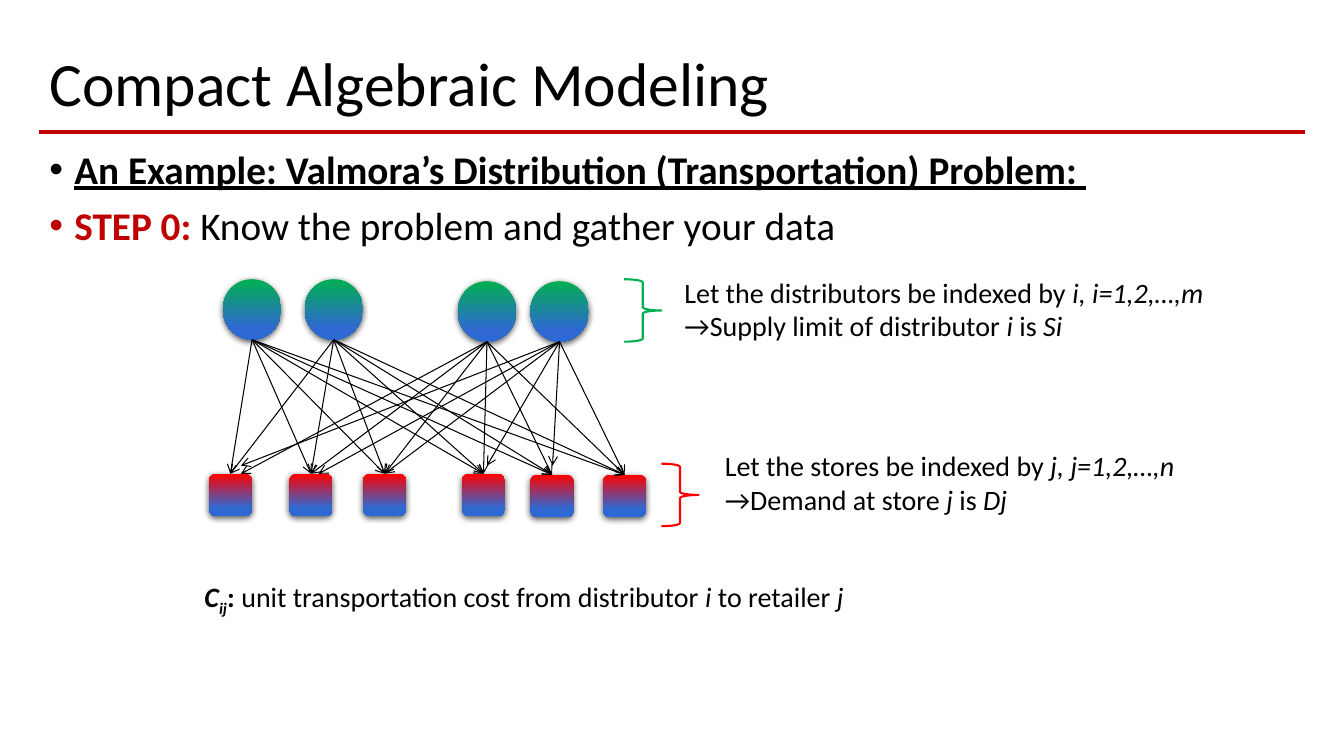
"""Build the slide that presents the transportation problem as a network."""
from itertools import product

from lxml import etree
from pptx import Presentation
from pptx.dml.color import RGBColor
from pptx.enum.shapes import MSO_CONNECTOR as Conn, MSO_SHAPE as Shp
from pptx.enum.text import MSO_ANCHOR as Anchor, MSO_AUTO_SIZE as Fit
from pptx.oxml import parse_xml
from pptx.oxml.ns import nsdecls, qn
from pptx.util import Inches, Pt

THEME = dict(
    font="Calibri", title=44, body=28, note=20,
    black="000000", accent="C00000", supply="00B050", demand="FF0000",
    blue="2F69D1", blue_end="2C69D5",
)

TITLE = [[("Compact Algebraic Modeling", "")]]
BULLETS = [
    [("An Example: Valmora’s Distribution (Transportation) Problem: ", "bu")],
    [("STEP 0: ", "ba"), ("Know the problem and gather your data", "")],
]
SUPPLY_NOTE = [
    [("Let the distributors be indexed by ", ""), ("i, i=1,2,…,m", "i")],
    [("→Supply limit of distributor ", ""), ("i", "i"), (" is ", ""), ("Si", "i")],
]
DEMAND_NOTE = [
    [("Let the stores be indexed by ", ""), ("j, j=1,2,…,n", "i")],
    [("→Demand at store ", ""), ("j", "i"), (" is ", ""), ("Dj", "i")],
]
COST_NOTE = [[
    ("C", "bi"), ("ij", "bis"), (":", "b"),
    (" unit transportation cost from distributor ", ""), ("i", "i"),
    (" to retailer ", ""), ("j", "i"),
]]

DISTRIBUTORS = [(2.21, 2.77), (3.02, 2.77), (4.54, 2.79), (5.26, 2.79)]
STORES = [(2.07, 4.7), (2.87, 4.7), (3.6, 4.7), (4.58, 4.7), (5.26, 4.71), (5.98, 4.71)]
DISTRIBUTOR_SIZE = (0.58, 0.6)
STORE_SIZE = (0.43, 0.42)
BRACE_SIZE = (0.37, 0.62)
SHIFTED_ENDS = {
    (2, 0): (2.39, 4.7), (3, 0): (2.39, 4.62), (3, 1): (3.16, 4.7),
    (3, 3): (4.83, 4.62), (3, 4): (5.48, 4.62),
}


def rgb(name):
    return RGBColor.from_string(THEME[name])


def add_text(s, paragraphs, box, size="note", anchor=Anchor.TOP, wrap=True,
             fit=Fit.SHAPE_TO_FIT_TEXT, spacing=1.0, before=0, bullet=False):
    tf = s.shapes.add_textbox(*map(Inches, box)).text_frame
    tf.word_wrap, tf.auto_size, tf.vertical_anchor = wrap, fit, anchor
    for k, runs in enumerate(paragraphs):
        p = tf.add_paragraph() if k else tf.paragraphs[0]
        p.line_spacing = spacing
        p.space_before = Pt(before if k else 0)
        if bullet:
            pPr = p._p.get_or_add_pPr()
            pPr.set("marL", str(Inches(0.25)))
            pPr.set("indent", str(-Inches(0.25)))
            etree.SubElement(pPr, qn("a:buFont")).set("typeface", "Arial")
            etree.SubElement(pPr, qn("a:buChar")).set("char", "•")
        for text, style in runs:
            r = p.add_run()
            r.text = text
            f = r.font
            f.name, f.size = THEME["font"], Pt(THEME[size])
            f.bold, f.italic, f.underline = (key in style for key in "biu")
            f.color.rgb = rgb("accent" if "a" in style else "black")
            if "s" in style:
                r._r.get_or_add_rPr().set("baseline", "-25000")


def add_node(s, kind, at, size, color):
    sp = s.shapes.add_shape(kind, *map(Inches, at + size))
    sp.line.fill.background()
    sp.shadow.inherit = False
    stops = "".join(
        f'<a:gs pos="{pos}"><a:srgbClr val="{THEME[name]}"/></a:gs>'
        for pos, name in [(0, color), (80000, "blue"), (100000, "blue_end")])
    spPr = sp._element.spPr
    spPr.insert(2, parse_xml(
        f'<a:gradFill {nsdecls("a")} rotWithShape="1"><a:gsLst>{stops}</a:gsLst>'
        '<a:lin ang="5400000" scaled="0"/></a:gradFill>'))
    spPr.find(qn("a:effectLst")).append(parse_xml(
        f'<a:outerShdw {nsdecls("a")} blurRad="{Pt(4.5)}" dist="{Pt(1.5)}" '
        'dir="5400000" algn="ctr" rotWithShape="0">'
        f'<a:srgbClr val="{THEME["black"]}"><a:alpha val="63000"/></a:srgbClr>'
        '</a:outerShdw>'))


def add_line(s, start, end, color="black", width=0.75, arrow=True):
    line = s.shapes.add_connector(Conn.STRAIGHT, *map(Inches, start + end))
    line.line.color.rgb, line.line.width = rgb(color), Pt(width)
    if arrow:
        etree.SubElement(line.line._get_or_add_ln(), qn("a:tailEnd")).set("type", "arrow")
    etree.SubElement(line._element.spPr, qn("a:effectLst"))


def add_brace(s, at, color):
    sp = s.shapes.add_shape(Shp.RIGHT_BRACE, *map(Inches, at + BRACE_SIZE))
    sp.shadow.inherit = False
    sp.fill.background()
    sp.line.color.rgb, sp.line.width = rgb(color), Pt(1.5)


def main():
    prs = Presentation()
    prs.slide_width, prs.slide_height = Inches(13.33), Inches(7.5)
    s = prs.slides.add_slide(prs.slide_layouts[6])

    add_line(s, (0.39, 1.31), (12.94, 1.31), "accent", 2.25, arrow=False)
    add_text(s, TITLE, (0.39, 0.4, 12.55, 0.92), "title", Anchor.MIDDLE,
             fit=Fit.NONE, spacing=0.9)
    add_text(s, BULLETS, (0.39, 1.44, 12.55, 5.32), "body", fit=Fit.NONE,
             spacing=0.9, before=10, bullet=True)

    for at in STORES:
        add_node(s, Shp.ROUNDED_RECTANGLE, at, STORE_SIZE, "demand")
    for at in DISTRIBUTORS:
        add_node(s, Shp.OVAL, at, DISTRIBUTOR_SIZE, "supply")

    width, height = DISTRIBUTOR_SIZE
    for (i, (x, y)), (j, (store_x, store_y)) in product(
            enumerate(DISTRIBUTORS), enumerate(STORES)):
        top_centre = (store_x + STORE_SIZE[0] / 2, store_y)
        add_line(s, (x + width / 2, y + height), SHIFTED_ENDS.get((i, j), top_centre))

    add_brace(s, (6.19, 2.77), "supply")
    add_brace(s, (6.56, 4.6), "demand")
    add_text(s, SUPPLY_NOTE, (6.69, 2.68, 5.46, 0.77))
    add_text(s, DEMAND_NOTE, (7.09, 4.4, 4.77, 0.77))
    add_text(s, COST_NOTE, (1.93, 5.7, 6.66, 0.44), wrap=False)
    prs.save("out.pptx")


if __name__ == "__main__":
    main()
